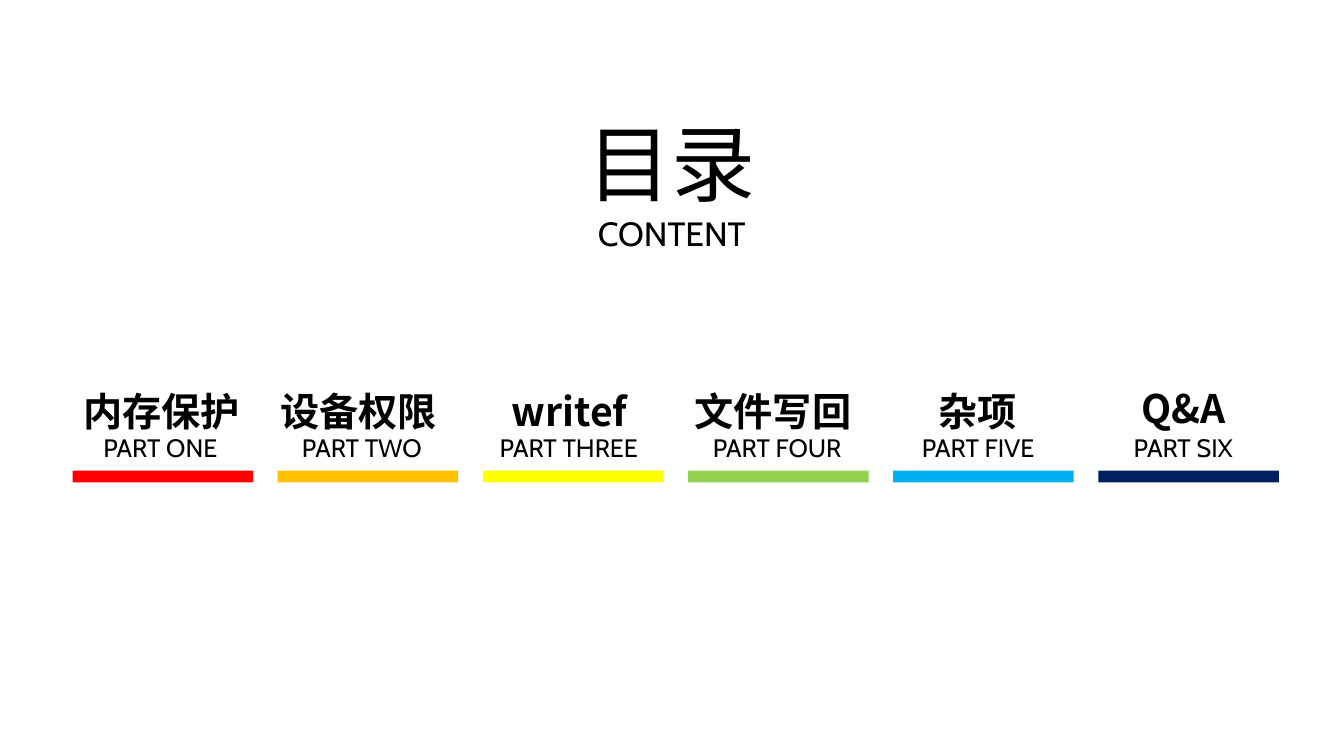
import pptx
import pptx.util
import pptx.dml.color
import pptx.enum.shapes
import pptx.enum.text
import pptx.oxml.ns
import lxml.etree

Cm = pptx.util.Cm
RGB = pptx.dml.color.RGBColor
BLACK = RGB(0x00, 0x00, 0x00)
RED = RGB(0xFF, 0x00, 0x00)
ORANGE = RGB(0xFF, 0xC0, 0x00)
YELLOW = RGB(0xFF, 0xFF, 0x00)
GREEN = RGB(0x92, 0xD0, 0x50)
BLUE = RGB(0x00, 0xB0, 0xF0)
NAVY = RGB(0x00, 0x20, 0x60)
HAN = "Noto Sans CJK SC"
LATIN = "Cabin"

PARTS = [
    ([("内存保护", HAN)], 1.63, 9.27, "PART ONE", 2.01, 4.06, 1.04, RED),
    ([("设备", HAN), ("权限", LATIN)], 6.6, 9.27, "PART TWO", 6.91, 4.42, 1.04, ORANGE),
    ([("writef", HAN)], 11.91, 9.27, "PART THREE", 11.96, 4.75, 1.04, YELLOW),
    ([("文件写回", HAN)], 17.04, 9.27, "PART FOUR", 17.63, 3.91, 1.04, GREEN),
    ([("杂项", HAN)], 22.2, 9.27, "PART FIVE", 22.96, 3.38, 2.03, BLUE),
    ([("Q&A", HAN)], 27.38, 9.19, "PART SIX", 28.12, 3.4, 1.04, NAVY),
]


def add_box(slide, left, top, width, height, wrap=True):
    """Add a text box with narrow margins and return its frame."""
    frame = slide.shapes.add_textbox(Cm(left), Cm(top), Cm(width), Cm(height)).text_frame
    frame.margin_left = frame.margin_right = Cm(0.13)
    frame.margin_top = frame.margin_bottom = Cm(0.13)
    frame.word_wrap = wrap
    frame.auto_size = pptx.enum.text.MSO_AUTO_SIZE.SHAPE_TO_FIT_TEXT
    return frame


def add_runs(para, runs, size, bold=False, space=None):
    """Fill a centred paragraph with runs of text and font."""
    para.alignment = pptx.enum.text.PP_ALIGN.CENTER
    para.line_spacing = space
    for text, face in runs:
        run = para.add_run()
        run.text = text
        run.font.size = pptx.util.Pt(size)
        run.font.bold = bold
        run.font.color.rgb = BLACK
        run.font.name = face
        east = lxml.etree.SubElement(run.font._element, pptx.oxml.ns.qn("a:ea"))
        east.set("typeface", HAN)


def add_bar(slide, left, color):
    """Add the coloured bar under a part."""
    bar = slide.shapes.add_shape(
        pptx.enum.shapes.MSO_SHAPE.RECTANGLE, Cm(left), Cm(11.86), Cm(4.55), Cm(0.3))
    bar.shadow.inherit = False
    bar.fill.solid()
    bar.fill.fore_color.rgb = color
    bar.line.fill.background()


def main():
    """Build the contents slide."""
    deck = pptx.Presentation()
    deck.slide_width, deck.slide_height = Cm(33.87), Cm(19.05)
    slide = deck.slides.add_slide(deck.slide_layouts[6])

    head = add_box(slide, 14.3, 2.69, 5.26, 4.24, wrap=False)
    add_runs(head.paragraphs[0], [("目录", HAN)], 60)
    add_runs(head.add_paragraph(), [("CONTENT", LATIN)], 24)

    for i, (title, x, y, label, left, width, height, color) in enumerate(PARTS):
        part = add_box(slide, left, 10.54, width, height)
        add_runs(part.paragraphs[0], [(label, LATIN)], 18, space=1.3)
        name = add_box(slide, x, y, 4.88, 1.65)
        add_runs(name.paragraphs[0], title, 28, bold=True, space=1.3)
        add_bar(slide, 1.83 + 5.17 * i, color)

    deck.save("out.pptx")


if __name__ == "__main__":
    main()
